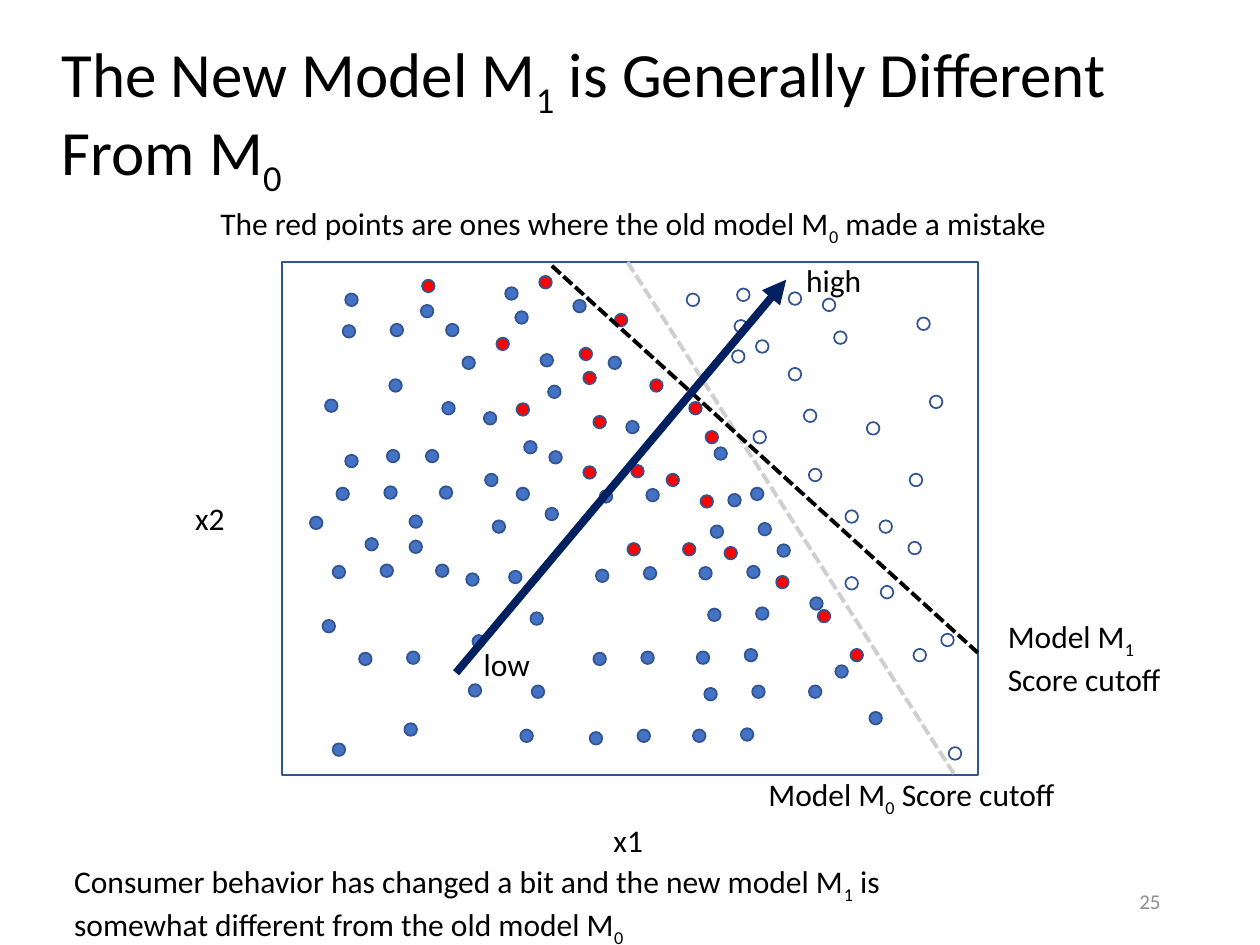
from lxml import etree
from pptx import Presentation
from pptx.dml.color import RGBColor
from pptx.enum.dml import MSO_LINE_DASH_STYLE as Dash
from pptx.enum.shapes import MSO_CONNECTOR as Connector, MSO_SHAPE as Shape
from pptx.enum.text import MSO_ANCHOR as Anchor, MSO_AUTO_SIZE as AutoSize, PP_ALIGN as Align
from pptx.oxml.ns import qn
from pptx.util import Cm, Pt

CM_PER_INCH = 2.54
DOT_SIZE = 0.1
FONT = "Calibri"

COLORS = {
    "black": "000000",
    "gray": "8C8C8C",
    "outline": "325491",
    "blue": "4472C4",
    "red": "FF0000",
    "old_cutoff": "D0CECE",
    "arrow": "002060",
}

BLUE_DOTS = [
    (2.74, 2.33), (4.01, 2.28), (4.09, 2.47), (4.55, 2.38), (2.58, 3.17), (3.21, 5.74),
    (3.67, 2.83), (4.35, 3.06), (2.67, 3.87), (3.07, 3.57), (3.09, 3.01), (3.84, 3.27),
    (2.56, 4.92), (3.25, 4.29), (4.33, 4.03), (4.76, 3.89), (5.13, 3.88), (6.17, 4.32),
    (5.96, 3.87), (4.73, 4.52), (5.11, 4.5), (5.55, 4.5), (5.93, 4.49), (4.71, 5.18),
    (5.09, 5.17), (5.53, 5.17), (5.91, 5.15), (4.68, 5.81), (5.06, 5.79), (5.5, 5.79),
    (5.88, 5.78), (2.74, 3.61), (2.64, 5.9), (4.16, 3.5), (3.25, 4.09), (3.85, 3.76),
    (3.91, 4.13), (4.1, 3.87), (2.9, 4.27), (3.75, 5.04), (3.7, 4.55), (4.21, 4.86),
    (2.85, 5.18), (3.23, 5.17), (3.72, 5.43), (4.22, 5.44), (5.67, 3.55), (4.97, 3.34),
    (4.83, 2.83), (5.64, 4.17), (6.02, 4.15), (3.34, 2.42), (5.78, 3.92), (5.62, 4.83),
    (6, 4.82), (6.43, 4.74), (6.63, 5.28), (5.59, 5.46), (5.97, 5.44), (6.42, 5.44),
    (6.9, 5.65), (2.72, 2.58), (3.1, 2.57), (3.54, 2.57), (3.38, 3.57), (4.13, 5.79),
    (3.51, 3.19), (4.29, 2.81), (2.46, 4.1), (3.05, 3.86), (3.49, 3.86), (4.36, 3.58),
    (2.64, 4.49), (3.02, 4.48), (3.46, 4.48), (4.04, 4.53),
]

RED_DOTS = [
    (4.88, 2.49), (5.16, 3.01), (4.63, 3.7), (5.01, 3.69), (6.49, 4.84), (5.6, 3.42),
    (4.63, 2.95), (4.98, 4.31), (5.42, 4.31), (5.75, 4.34), (5.47, 3.19), (3.94, 2.68),
    (5.56, 3.93), (6.75, 5.15), (4.1, 3.2), (5.29, 3.76), (6.16, 4.57), (4.28, 2.19),
    (4.71, 3.3), (4.6, 2.76), (3.35, 2.22),
]

HOLLOW_DOTS = [
    (6.53, 2.37), (6.26, 2.92), (5.85, 2.29), (5.98, 3.42), (6.71, 4.05), (7.25, 5.15),
    (7.22, 3.76), (6.88, 3.35), (7.28, 2.52), (6.98, 4.13), (5.45, 2.33), (6.99, 4.65),
    (6.38, 3.25), (6.62, 2.63), (6.26, 2.32), (5.81, 2.78), (6.42, 3.72), (6.71, 4.58),
    (7.47, 5.03), (7.21, 4.3), (7.38, 3.14), (7.53, 5.93), (5.83, 2.54), (6, 2.7),
]


def lengths(*inches):
    return [Cm(value * CM_PER_INCH) for value in inches]


def color(name):
    return RGBColor.from_string(COLORS[name])


def add_outlined(page, kind, place, fill=None):
    shape = page.shapes.add_shape(kind, *lengths(*place))
    shape.shadow.inherit = False
    if fill:
        shape.fill.solid()
        shape.fill.fore_color.rgb = color(fill)
    else:
        shape.fill.background()
    shape.line.color.rgb = color("outline")
    shape.line.width = Pt(1)


def add_dots(page, corners, fill=None):
    for left, top in corners:
        add_outlined(page, Shape.OVAL, (left, top, DOT_SIZE, DOT_SIZE), fill)


def add_line(page, start, end, tint, width, dash=None, arrow=False):
    line = page.shapes.add_connector(Connector.STRAIGHT, *lengths(*start, *end))
    line.line.color.rgb = color(tint)
    line.line.width = Pt(width)
    if dash:
        line.line.dash_style = dash
    if arrow:
        etree.SubElement(line.line._get_or_add_ln(), qn("a:tailEnd"), type="triangle")
    etree.SubElement(line._element.spPr, qn("a:effectLst"))


def add_run(para, text, subscript=False):
    span = para.add_run()
    span.text = text
    if subscript:
        span._r.get_or_add_rPr().set("baseline", "-25000")


def add_text(page, text, place, size=18, tint="black", wrap=True, anchor=Anchor.TOP,
             align=Align.LEFT, spacing=None, grow=True):
    box = page.shapes.add_textbox(*lengths(*place))
    frame = box.text_frame
    frame.word_wrap = wrap
    frame.auto_size = AutoSize.SHAPE_TO_FIT_TEXT if grow else AutoSize.NONE
    frame.vertical_anchor = anchor
    para = frame.paragraphs[0]
    para.alignment = align
    para.line_spacing = spacing
    para.font.name = FONT
    para.font.size = Pt(size)
    para.font.color.rgb = color(tint)
    first, *rest = text.split("_")
    add_run(para, first)
    for part in rest:
        add_run(para, part[0], subscript=True)
        if part[1:]:
            add_run(para, part[1:])


def main():
    deck = Presentation()
    deck.slide_width, deck.slide_height = lengths(10, 7.5)
    page = deck.slides.add_slide(deck.slide_layouts[6])

    add_text(page, "The New Model M_1 is Generally Different From M_0", (0.39, 0.2, 9.56, 1.4),
             size=36, anchor=Anchor.MIDDLE, spacing=0.9, grow=False)
    add_text(page, "25", (7.06, 6.95, 2.25, 0.4), size=12, tint="gray",
             anchor=Anchor.MIDDLE, align=Align.RIGHT, grow=False)

    add_outlined(page, Shape.RECTANGLE, (2.24, 2.08, 5.52, 4.07))
    add_text(page, "x1", (4.77, 6.47, 0.44, 0.4), wrap=False)
    add_text(page, "x2", (1.45, 3.91, 0.44, 0.4), wrap=False)

    add_line(page, (4.98, 2.08), (7.57, 6.14), "old_cutoff", 2.25, Dash.SQUARE_DOT)
    add_text(page, "Model M_0 Score cutoff", (6, 6.1, 2.56, 0.4), wrap=False)
    add_text(page, "Consumer behavior has changed a bit and the new model M_1 is "
             "somewhat different from the old model M_0", (0.49, 6.79, 6.67, 0.71))

    add_dots(page, BLUE_DOTS, "blue")
    add_dots(page, RED_DOTS, "red")
    add_dots(page, HOLLOW_DOTS)

    add_line(page, (4.38, 2.11), (7.76, 5.18), "black", 2.25, Dash.SQUARE_DOT)
    add_text(page, "Model M_1 Score cutoff", (7.9, 4.85, 1.53, 0.71))
    add_text(page, "The red points are ones where the old model M_0 made a mistake",
             (1.65, 1.57, 6.98, 0.4))
    add_line(page, (3.62, 5.34), (6.24, 2.22), "arrow", 4.5, arrow=True)
    add_text(page, "high", (6.3, 2.02, 0.65, 0.4), wrap=False)
    add_text(page, "low", (3.74, 5.07, 0.57, 0.4), wrap=False)

    deck.save("out.pptx")


if __name__ == "__main__":
    main()
